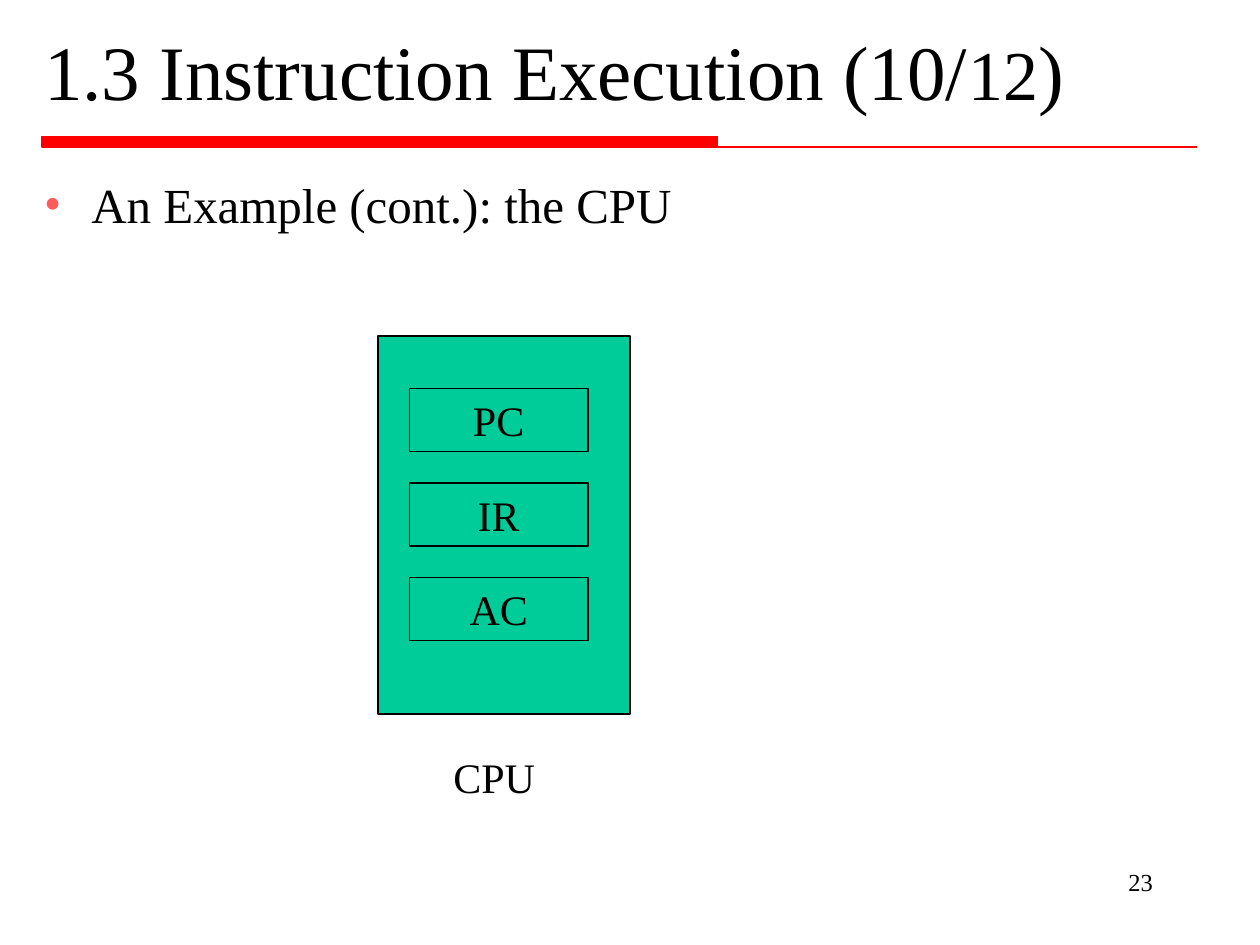
import pptx
import pptx.util
import pptx.dml.color
import pptx.enum.shapes
import pptx.enum.text
import pptx.oxml

Pt = pptx.util.Pt
RGBColor = pptx.dml.color.RGBColor
Align = pptx.enum.text.PP_ALIGN
Anchor = pptx.enum.text.MSO_ANCHOR
RECT = pptx.enum.shapes.MSO_SHAPE.RECTANGLE

BLACK = RGBColor(0x00, 0x00, 0x00)
RED = RGBColor(0xFF, 0x00, 0x00)
GREEN = RGBColor(0x00, 0xCC, 0x99)
PINK = RGBColor(0xFB, 0x5B, 0x5B)
FONT = "Times New Roman"
NS = 'xmlns:a="http://schemas.openxmlformats.org/drawingml/2006/main"'


def place(shape, left, top, width, height):
    shape.left, shape.top = Pt(left), Pt(top)
    shape.width, shape.height = Pt(width), Pt(height)


def write(shape, *runs, align=Align.LEFT, anchor=Anchor.TOP, wrap=True, space=None):
    frame = shape.text_frame
    frame.auto_size = pptx.enum.text.MSO_AUTO_SIZE.NONE
    frame.word_wrap = wrap
    frame.vertical_anchor = anchor
    para = frame.paragraphs[0]
    para.alignment = align
    para.space_before = Pt(0)
    if space:
        para.line_spacing = space
    for text, size in runs:
        run = para.add_run()
        run.text = text
        run.font.name = FONT
        run.font.size = Pt(size)
        run.font.color.rgb = BLACK
    return para


def paint(shape, fill, line):
    shape.shadow.inherit = False
    shape.fill.solid()
    shape.fill.fore_color.rgb = fill
    shape.line.color.rgb = line
    shape.line.width = Pt(0.75)


def add_rule(slide, left, top, width, height, thick):
    base = top + height
    pen = slide.shapes.build_freeform(Pt(left), Pt(base))
    corners = [(left + thick, base), (left + thick, top), (left, top)]
    pen.add_line_segments([(Pt(x), Pt(y)) for x, y in corners], close=True)
    pen.move_to(Pt(left), Pt(base))
    pen.add_line_segments([(Pt(left + width), Pt(base))], close=False)
    paint(pen.convert_to_shape(), RED, RED)


def add_title(slide, left, top, width, height):
    title = slide.shapes.title
    place(title, left, top, width, height)
    write(title, ("1.3 Instruction Execution (10/", 44), ("12", 40), (")", 44),
          anchor=Anchor.MIDDLE, space=0.8)


def add_list(slide, left, top, width, height):
    body = slide.placeholders[1]
    place(body, left, top, width, height)
    para = write(body, ("An Example (cont.): the CPU", 28))
    props = para._p.get_or_add_pPr()
    props.set("marL", str(Pt(27)))
    props.set("indent", str(Pt(-27)))
    for item in (f'<a:buClr {NS}><a:srgbClr val="{PINK}"/></a:buClr>',
                 f'<a:buFont {NS} typeface="{FONT}"/>',
                 f'<a:buChar {NS} char="•"/>'):
        props.append(pptx.oxml.parse_xml(item))


def add_box(group, left, top, width, height):
    box = group.shapes.add_shape(RECT, Pt(left), Pt(top), Pt(width), Pt(height))
    paint(box, GREEN, BLACK)
    return box


def add_cpu(slide, left, top, width, height):
    group = slide.shapes.add_group_shape()
    add_box(group, left, top, width, height)
    label = group.shapes.add_textbox(
        Pt(left + 36), Pt(top + height + 18), Pt(72), Pt(36))
    write(label, ("CPU", 24))
    for row, name in enumerate(("PC", "IR", "AC")):
        cell = add_box(group, left + 18, top + 30 + 54 * row, 102, 36)
        write(cell, (name, 24), align=Align.CENTER, anchor=Anchor.MIDDLE, wrap=False)


def add_page(slide, left, top, width, height):
    box = slide.shapes.add_textbox(Pt(left), Pt(top), Pt(width), Pt(height))
    write(box, ("23", 14), align=Align.RIGHT)


def main():
    deck = pptx.Presentation()
    deck.slide_width, deck.slide_height = Pt(720), Pt(540)
    slide = deck.slides.add_slide(deck.slide_layouts[1])
    add_rule(slide, 24, 78, 660, 6, 386)
    add_page(slide, 516, 492, 150, 36)
    add_title(slide, 18, 12, 672, 66)
    add_list(slide, 18, 96, 672, 384)
    add_cpu(slide, 216, 192, 144, 216)
    deck.save("out.pptx")


if __name__ == "__main__":
    main()
